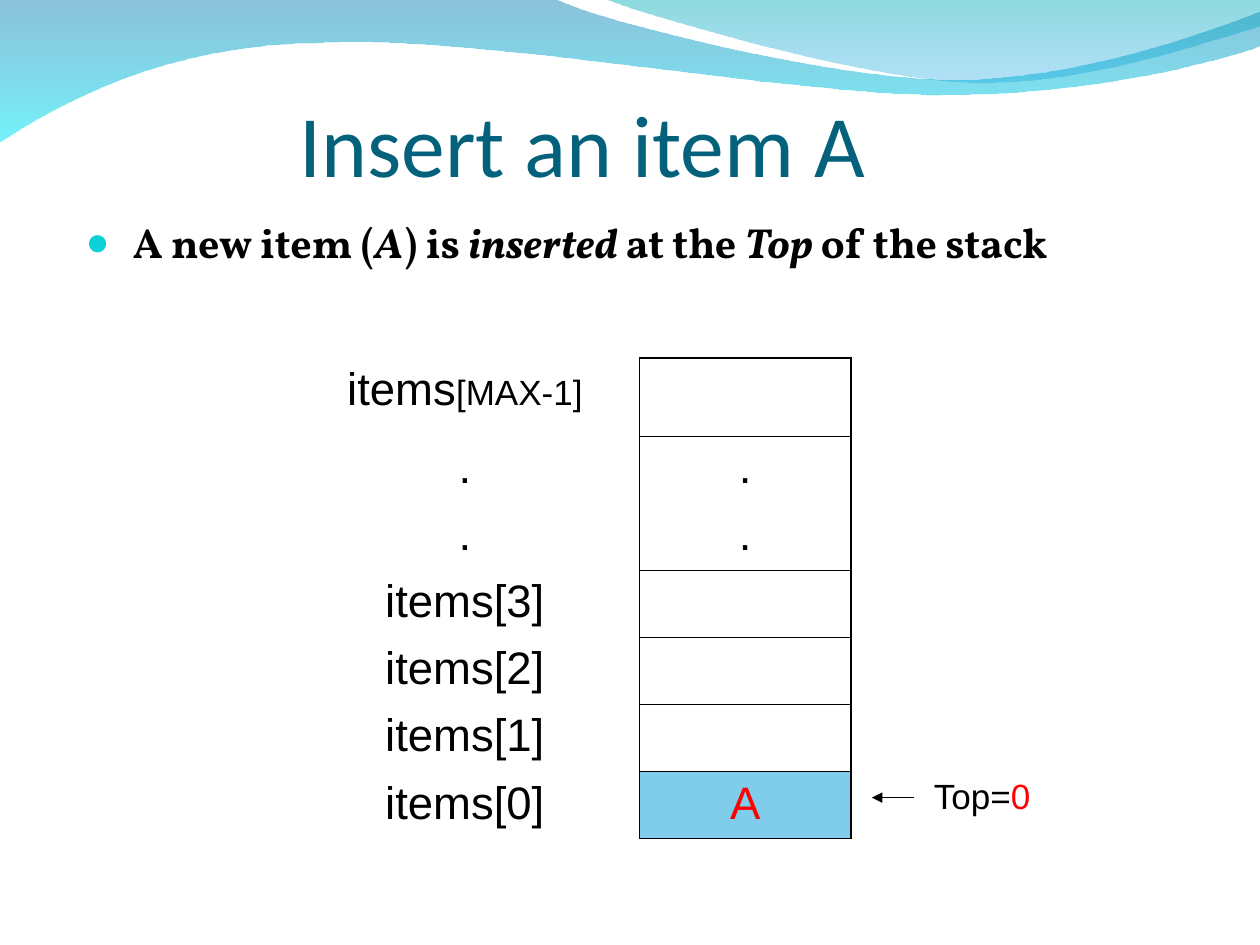
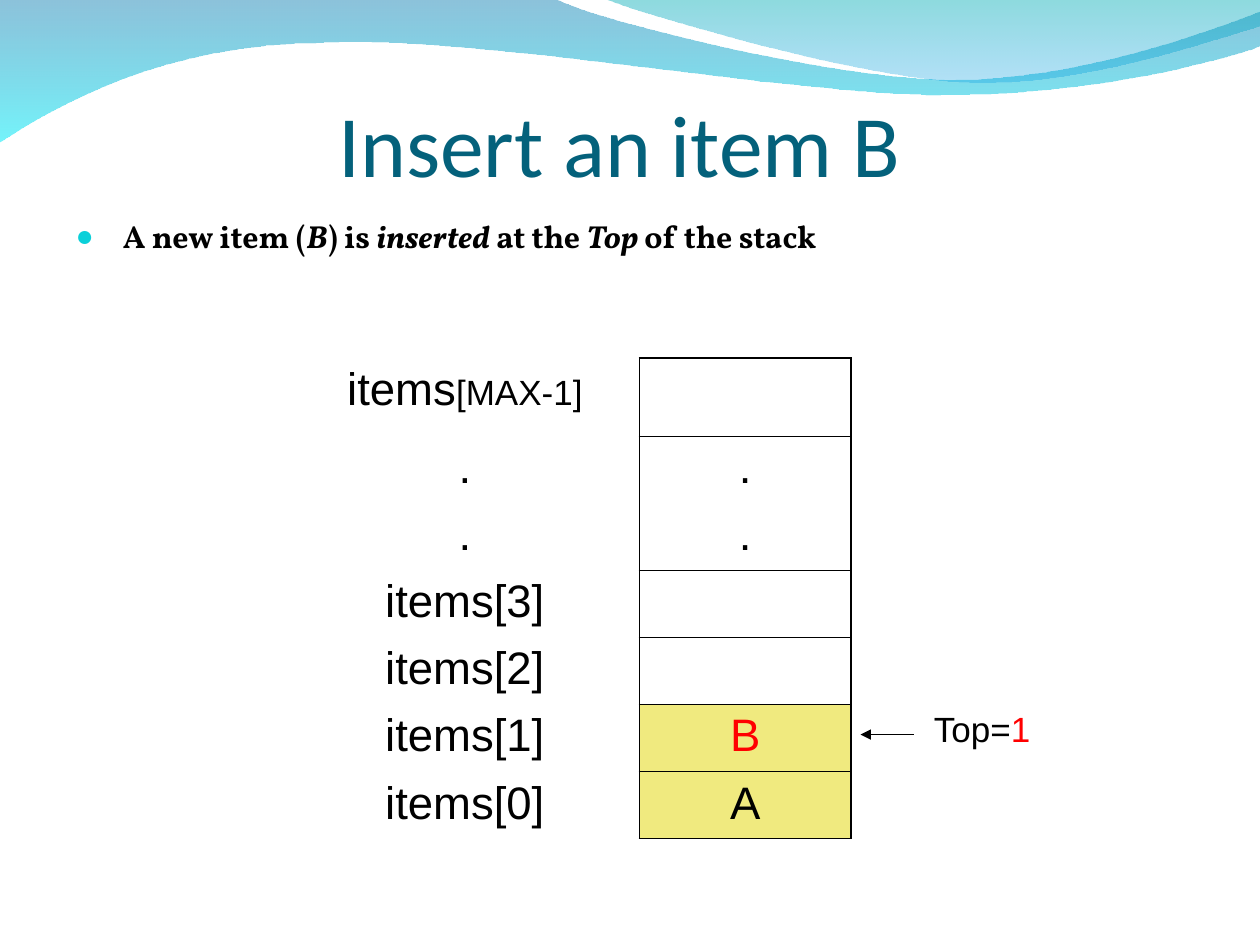
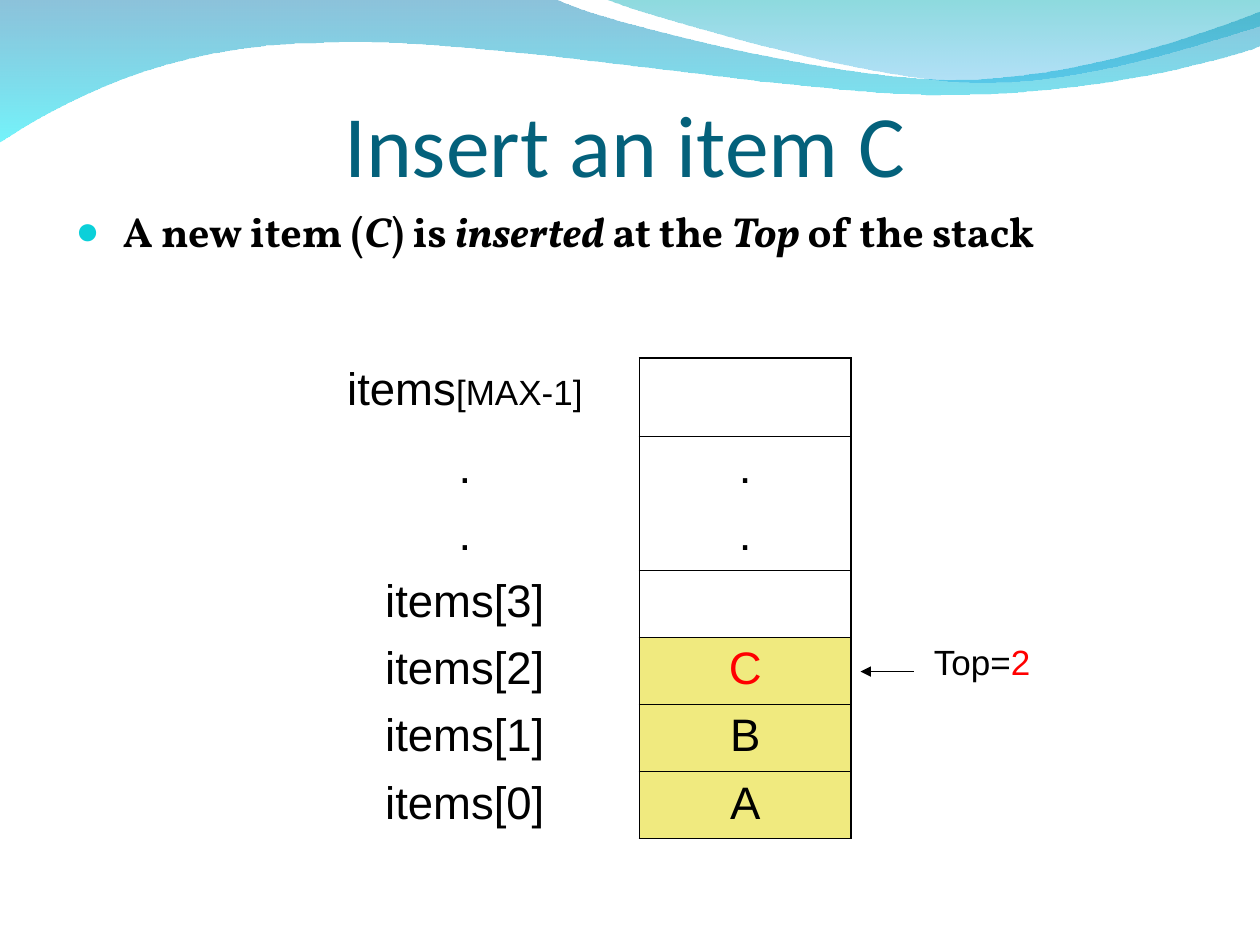
from dataclasses import dataclass

from lxml import etree
from pptx import Presentation
from pptx import util as u
from pptx.dml.color import RGBColor
from pptx.enum import shapes, text
from pptx.oxml.ns import qn

PX = u.Inches(1) // 200  # layout grid: 200 px to the inch


@dataclass(frozen=True)
class Theme:
    title: str = "04617B"
    ink: str = "000000"
    accent: str = "FF0000"
    bullet: str = "0BD0D9"
    first_item: str = "009DD9"
    stacked_item: str = "E2D700"
    title_font: str = "Calibri"
    body_font: str = "Vollkorn"
    table_font: str = "Arial"
    title_size: float = 50
    body_size: float = 24
    small_body_size: float = 18.2
    label_size: float = 26
    note_size: float = 20
    outer_border: float = 1.08
    inner_border: float = 0.45


THEME = Theme()


def apply(target, values):
    for name, value in values.items():
        setattr(target, name, value)


def add_run(paragraph, words, color, size, **values):
    run = paragraph.add_run()
    run.text = words
    apply(run.font, {"size": u.Pt(size), **values})
    run.font.color.rgb = RGBColor.from_string(color)


# Each wave: start, then line ends (one point) or curves (three points);
# gradient stops are colour and opacity in percent.
WAVES = [
    ((0, -2),
     [[(880, -2)],
      [(952, 34), (1328, 126), (1516, 126)],
      [(1706, 126), (1916, 52), (2000, 18)],
      [(2002, 72)],
      [(1966, 88), (1740, 152), (1492, 150)],
      [(1244, 150), (764, 56), (514, 68)],
      [(258, 70), (92, 166), (-2, 226)]],
     [("0079AF", 45), ("00EBF8", 55)]),
    ((958, -2),
     [[(1018, 22), (1364, 124), (1538, 130)],
      [(1712, 138), (1922, 64), (2000, 42)],
      [(2000, 0)]],
     [("00ADB6", 45), ("009BE5", 30)]),
]

# Pushed item, title box, body box, body size, arrow tip, fill of used cells
PUSHES = [
    ("A", (100, 116, 1650, 194), (116, 334, 1834, 150), THEME.body_size, 1384,
     THEME.first_item),
    ("B", (100, 84, 1767, 226), (100, 334, 1834, 150), THEME.small_body_size, 1366,
     THEME.stacked_item),
    ("C", (100, 84, 1784, 226), (100, 316, 1834, 184), THEME.body_size, 1366,
     THEME.stacked_item),
]
ITEMS = [push[0] for push in PUSHES]
LABELS = ["items", ".", ".", "items[3]", "items[2]", "items[1]", "items[0]"]
LAST_ROW = len(LABELS) - 1
COLUMN_WIDTHS = [554, 336, 416]
ROW_HEIGHTS = [124] + [107, 106] * 3
BULLET_INDENT = 45 * PX
NO_GRID_STYLE = "{2D5ABB26-0587-4C30-8999-92F81FD0307C}"

deck = Presentation()
apply(deck, {"slide_width": 2000 * PX, "slide_height": 1500 * PX})
layout = deck.slide_layouts[1]
slides = [deck.slides.add_slide(layout) for push in PUSHES]

# The waves are drawn once and moved to the shared layout.
for depth, (start, segments, stops) in enumerate(WAVES, 2):
    builder = slides[0].shapes.build_freeform(*start, scale=PX)
    builder.add_line_segments([point for segment in segments for point in segment], close=True)
    wave = builder.convert_to_shape()
    lines = wave.element.spPr.iter(qn("a:lnTo"))
    lines = iter(list(lines))
    for segment in segments:
        first, *others = [next(lines) for point in segment]
        if others:
            first.tag = qn("a:cubicBezTo")
            for line in others:
                first.append(line[0])
                line.getparent().remove(line)
    wave.shadow.inherit = False
    wave.line.fill.background()
    wave.fill.gradient()
    wave.fill.gradient_angle = 270
    for stop, (color, opacity) in zip(wave.fill.gradient_stops, stops):
        stop.color.rgb = RGBColor.from_string(color)
    for tint, (color, opacity) in zip(wave.element.spPr.iter(qn("a:srgbClr")), stops):
        etree.SubElement(tint, qn("a:alpha"), val=str(opacity * 1000))
    layout.shapes.element.insert(depth, wave.element)

for top, (slide, push) in enumerate(zip(slides, PUSHES)):
    item, title_box, body_box, body_size, arrow_tip, used_fill = push
    title, body = slide.placeholders
    for holder, box in ((title, title_box), (body, body_box)):
        apply(holder, dict(zip(("left", "top", "width", "height"),
                               (length * PX for length in box))))
        apply(holder.text_frame, {"auto_size": text.MSO_AUTO_SIZE.NONE, "word_wrap": True})

    apply(title.text_frame, {"vertical_anchor": text.MSO_ANCHOR.BOTTOM, "margin_left": 0,
                             "margin_top": 10 * PX, "margin_right": 0, "margin_bottom": 0})
    heading = title.text_frame.paragraphs[0]
    heading.alignment = text.PP_ALIGN.CENTER
    add_run(heading, f"Insert an item {item}", THEME.title, THEME.title_size,
            name=THEME.title_font)

    body.text_frame.vertical_anchor = text.MSO_ANCHOR.TOP
    sentence = body.text_frame.paragraphs[0]
    apply(sentence, {"alignment": text.PP_ALIGN.LEFT, "space_before": 0})
    bullet = sentence._p.get_or_add_pPr()
    apply(bullet, {"marL": BULLET_INDENT, "indent": -BULLET_INDENT})
    bullet_color = etree.SubElement(bullet, qn("a:buClr"))
    etree.SubElement(bullet_color, qn("a:srgbClr"), val=THEME.bullet)
    etree.SubElement(bullet, qn("a:buSzPct"), val="95000")
    etree.SubElement(bullet, qn("a:buChar"), char="●")
    phrases = f"A new item (|{item}|) is |inserted |at the |Top |of the stack".split("|")
    for position, phrase in enumerate(phrases):
        add_run(sentence, phrase, THEME.ink, body_size, name=THEME.body_font,
                bold=True, italic=position % 2 == 1)

    frame = slide.shapes.add_table(len(LABELS), len(COLUMN_WIDTHS), 461 * PX, 568 * PX,
                                   sum(COLUMN_WIDTHS) * PX, sum(ROW_HEIGHTS) * PX)
    stack = frame.table
    apply(stack, {"first_row": False, "horz_banding": False})
    next(frame.element.iter(qn("a:tableStyleId"))).text = NO_GRID_STYLE
    for column, width in zip(stack.columns, COLUMN_WIDTHS):
        column.width = width * PX
    for row, height in zip(stack.rows, ROW_HEIGHTS):
        row.height = height * PX

    for row, label in enumerate(LABELS):
        index = LAST_ROW - row
        used = index <= top
        slot = ITEMS[index] if used else "." if label == "." else ""
        contents = [[(label, THEME.ink, THEME.label_size)],
                    [(slot, THEME.accent if index == top else THEME.ink, THEME.label_size)],
                    []]
        if row == 0:
            contents[0].append(("[MAX-1]", THEME.ink, THEME.note_size))
        if index == top:
            contents[2] = [("Top=", THEME.ink, THEME.note_size),
                           (str(top), THEME.accent, THEME.note_size)]
        above = THEME.outer_border if row == 0 else THEME.inner_border
        below = THEME.outer_border if row == LAST_ROW else THEME.inner_border
        borders = [
            {"R": THEME.outer_border},
            {"L": THEME.outer_border, "R": THEME.outer_border,
             "T": 0 if row == 2 else above, "B": 0 if row == 1 else below},
            {"L": THEME.outer_border},
        ]
        for column, (runs, edges) in enumerate(zip(contents, borders)):
            cell = stack.cell(row, column)
            properties = cell._tc.get_or_add_tcPr()
            for side, weight in edges.items():
                edge = etree.SubElement(properties, qn(f"a:ln{side}"), w=str(u.Pt(weight)))
                if weight:
                    ink = etree.SubElement(edge, qn("a:solidFill"))
                    etree.SubElement(ink, qn("a:srgbClr"), val=THEME.ink)
                else:
                    etree.SubElement(edge, qn("a:noFill"))
            if used and column == 1:
                cell.fill.solid()
                cell.fill.fore_color.rgb = RGBColor.from_string(used_fill)
                tint = properties.find(qn("a:solidFill")).find(qn("a:srgbClr"))
                etree.SubElement(tint, qn("a:alpha"), val="50000")
            else:
                cell.fill.background()
            line = cell.text_frame.paragraphs[0]
            line.alignment = text.PP_ALIGN.CENTER
            for words, color, size in runs:
                if words:
                    add_run(line, words, color, size, name=THEME.table_font)

    pointer_y = (1266 - 100 * top) * PX
    pointer = slide.shapes.add_connector(shapes.MSO_CONNECTOR.STRAIGHT, 1450 * PX, pointer_y,
                                         arrow_tip * PX, pointer_y)
    pointer.line.width = u.Pt(0.75)
    pointer.line.color.rgb = RGBColor.from_string(THEME.ink)
    outline = pointer.element.spPr.find(qn("a:ln"))
    etree.SubElement(outline, qn("a:tailEnd"), type="triangle")
    etree.SubElement(pointer.element.spPr, qn("a:effectLst"))

deck.save("out.pptx")
